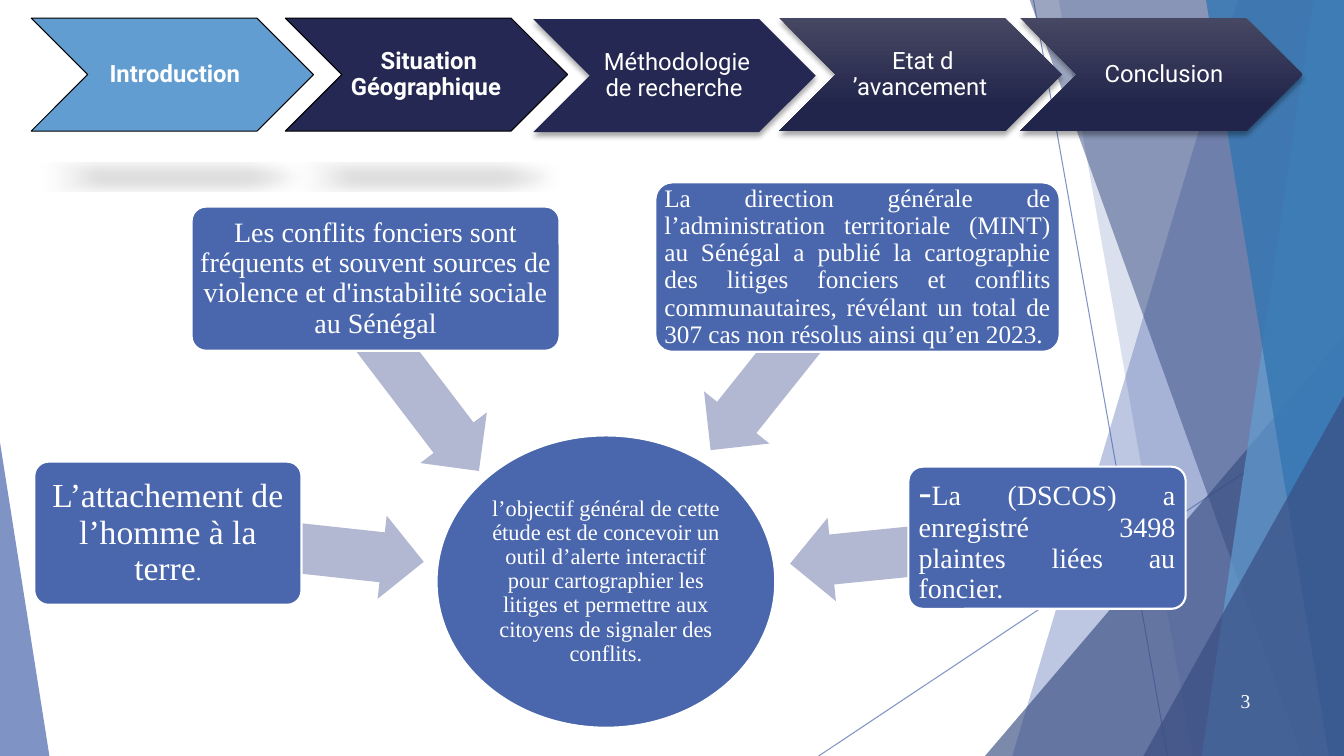
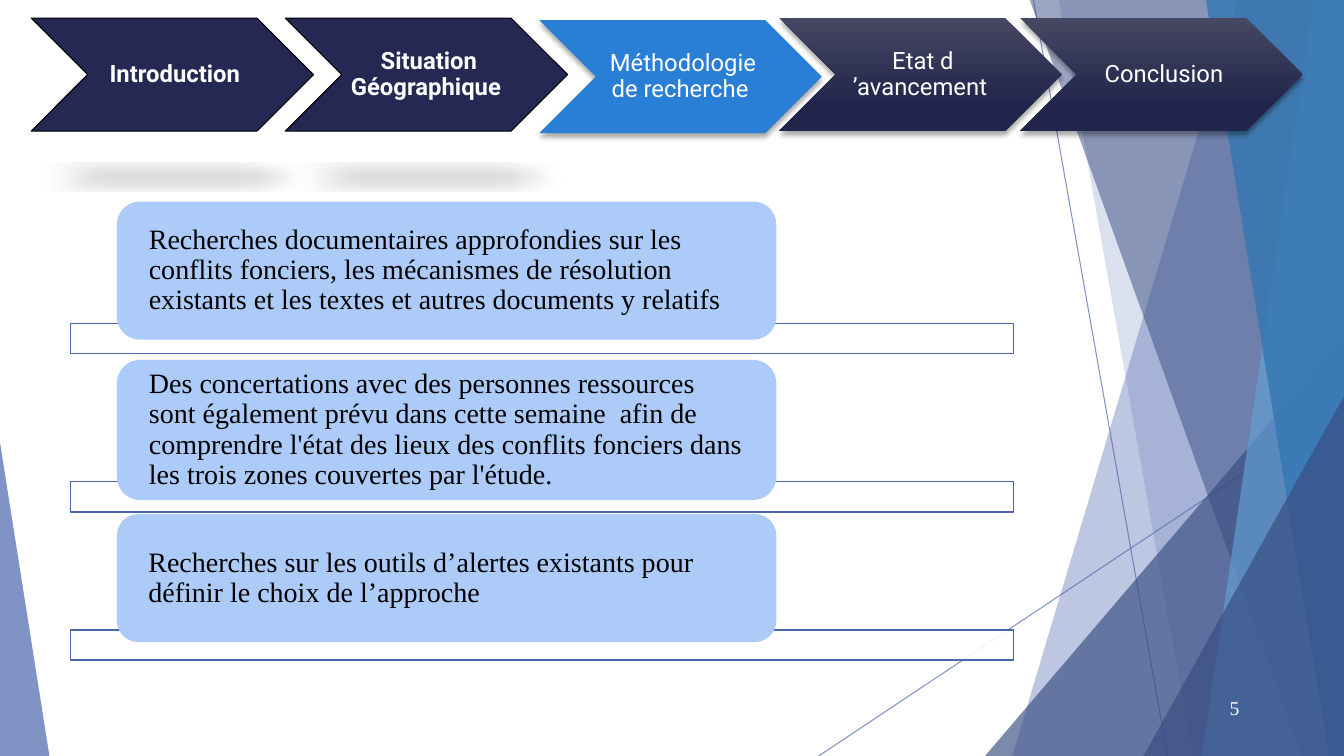
import pptx
import pptx.util
import pptx.dml.color
import pptx.enum.shapes
import pptx.enum.text
import pptx.oxml
import pptx.oxml.ns
import lxml.etree

PX = 9144
WIDTH, HEIGHT = 1333, 750
BLUE, DARK_BLUE, SKY, NAVY = "4A66AC", "384C81", "629DD1", "242852"
WHITE, BLACK = "FFFFFF", "000000"
ARROW_BLUE, PALE_BLUE, BRIGHT_BLUE, DEEP_SKY = "B2B8D2", "ACCBF9", "297FD5", "3477B2"
GRADIENT = ((0, "464762"), (0.78, "21254B"))
SERIF, SANS = "Times New Roman", "Roboto"
SHAPE = pptx.enum.shapes.MSO_SHAPE
ALIGN = pptx.enum.text.PP_ALIGN

FLOATING_SHADOW = dict(blurRad=152400, dist=317500, sx=90000, sy=-19000, alpha=15)
SOFT_SHADOW = dict(blurRad=50800, dist=38100, alpha=35)

STEPS = {
    "Introduction": (31, 18, True, NAVY),
    "Situation Géographique ": (283, 18, True, NAVY),
    "Méthodologie de recherche ": (529, 19, False, NAVY),
    "Etat d ’avancement ": (773, 18, False, GRADIENT),
    "Conclusion": (1012, 18, False, GRADIENT),
}


def px(value):
    return pptx.util.Emu(value * PX)


def colour(code):
    return pptx.dml.color.RGBColor.from_string(code)


def set_opacity(colour_parent, percent):
    for node in colour_parent.findall(pptx.oxml.ns.qn("a:srgbClr")):
        alpha = lxml.etree.SubElement(node, pptx.oxml.ns.qn("a:alpha"))
        alpha.set("val", str(percent * 1000))


def paint(shape, fill, opacity=100, line=None, line_width=1):
    shape.shadow.inherit = False
    if isinstance(fill, str):
        shape.fill.solid()
        shape.fill.fore_color.rgb = colour(fill)
    else:
        shape.fill.gradient()
        shape.fill.gradient_angle = 270
        for stop, (position, code) in zip(shape.fill.gradient_stops, fill):
            stop.position = position
            stop.color.rgb = colour(code)
    if opacity < 100:
        set_opacity(shape.element.spPr.find(pptx.oxml.ns.qn("a:solidFill")), opacity)
    if line:
        shape.line.color.rgb = colour(line)
        shape.line.width = pptx.util.Pt(line_width)
    else:
        shape.line.fill.background()


def add_preset(slide, preset, box, fill, adjust=(), rotation=0, **style):
    shape = slide.shapes.add_shape(preset, *map(px, box))
    for index, value in enumerate(adjust):
        shape.adjustments[index] = value
    shape.rotation = rotation
    paint(shape, fill, **style)
    return shape


def add_polygon(slide, points, fill, opacity):
    builder = slide.shapes.build_freeform(*points[0], scale=PX)
    builder.add_line_segments(points[1:], close=True)
    paint(builder.convert_to_shape(), fill, opacity)


def add_line(slide, start, end):
    straight = pptx.enum.shapes.MSO_CONNECTOR.STRAIGHT
    connector = slide.shapes.add_connector(straight, *map(px, start + end))
    connector.line.color.rgb = colour(BLUE)
    connector.line.width = pptx.util.Pt(0.75)
    properties = connector.element.spPr
    set_opacity(properties.find(".//" + pptx.oxml.ns.qn("a:solidFill")), 70)
    lxml.etree.SubElement(properties, pptx.oxml.ns.qn("a:effectLst"))


def add_shadow(shape, alpha, **settings):
    effects = shape.element.spPr.find(pptx.oxml.ns.qn("a:effectLst"))
    shadow = lxml.etree.SubElement(effects, pptx.oxml.ns.qn("a:outerShdw"))
    for name, value in settings.items():
        shadow.set(name, str(value))
    shadow.set("dir", "5400000")
    shadow.set("rotWithShape", "0")
    lxml.etree.SubElement(shadow, pptx.oxml.ns.qn("a:srgbClr")).set("val", BLACK)
    set_opacity(shadow, alpha)


def write(shape, runs, margins, align=ALIGN.CENTER, font=SERIF, code=WHITE, bold=False, spacing=0.9):
    frame = shape.text_frame
    frame.word_wrap = True
    frame.vertical_anchor = pptx.enum.text.MSO_ANCHOR.MIDDLE
    frame.margin_left, frame.margin_top, frame.margin_right, frame.margin_bottom = map(px, margins)
    paragraph = frame.paragraphs[0]
    paragraph.alignment = align
    paragraph.line_spacing = spacing
    for text, size in runs:
        run = paragraph.add_run()
        run.text = text
        run.font.name = font
        run.font.size = pptx.util.Pt(size)
        run.font.bold = bold
        run.font.color.rgb = colour(code)


def add_backdrop(slide):
    add_line(slide, (1025, 0), (1158, HEIGHT))
    add_line(slide, (WIDTH, 403), (812, HEIGHT))

    def add_band(top_left, bottom_left, bottom_right, fill, opacity):
        points = [(top_left, -1), (WIDTH, -1), (WIDTH, HEIGHT)]
        if bottom_right < WIDTH:
            points.append((bottom_right, HEIGHT))
        else:
            points.append((bottom_left, HEIGHT))
        add_polygon(slide, points, fill, opacity)

    def add_corner(left, top, width, apex, fill, opacity):
        box = (left, top, width, HEIGHT - top)
        add_preset(slide, SHAPE.ISOSCELES_TRIANGLE, box, fill, (apex,), opacity=opacity)

    add_band(1228, 1004, WIDTH, BLUE, 36)
    add_band(1050, 1183, WIDTH, BLUE, 20)
    add_corner(977, 333, 356, 1, DARK_BLUE, 66)
    add_band(1021, 1291, WIDTH, DARK_BLUE, 50)
    add_band(1303, 1192, WIDTH, SKY, 70)
    add_band(1196, 1318, WIDTH, DEEP_SKY, 80)
    add_corner(1134, 393, 199, 1, DARK_BLUE, 66)
    add_corner(0, 439, 49, 0, BLUE, 70)


def move_to_layout(slide, layout):
    for placeholder in list(layout.placeholders):
        layout.shapes.element.remove(placeholder.element)
    for shape in list(slide.shapes):
        layout.shapes.element.append(shape.element)


def add_navigation(slide, active, active_fill, shift=(0, 0)):
    for label, (left, top, bold, fill) in STEPS.items():
        if label == active:
            left, top, fill = left + shift[0], top + shift[1], active_fill
        outline = BLACK if bold else None
        chevron = add_preset(slide, SHAPE.CHEVRON, (left, top, 280, 112), fill,
                             line=outline, line_width=0.75)
        add_shadow(chevron, **(FLOATING_SHADOW if bold else SOFT_SHADOW))
        write(chevron, [(label, 17)], (7, 2, 2, 2), font=SANS, bold=bold)


def add_page_number(slide, number, left, top):
    box = slide.shapes.add_textbox(*map(px, (left, top, 75, 40)))
    write(box, [(number, 14)], (10, 5, 10, 5), align=ALIGN.RIGHT, spacing=1)


def add_arrow(slide, left, top, width, rotation):
    add_preset(slide, SHAPE.LEFT_ARROW, (left, top, width, 83), ARROW_BLUE, (0.6, 0.5), rotation)


def add_card(slide, box, runs, margin, align=ALIGN.CENTER):
    card = add_preset(slide, SHAPE.ROUNDED_RECTANGLE, box, BLUE, (0.1,), line=WHITE, line_width=1.5)
    write(card, runs, (margin,) * 4, align)


def add_method(slide, top, height, bar_top, text):
    add_preset(slide, SHAPE.RECTANGLE, (70, bar_top, 935, 30), WHITE, opacity=90, line=BLUE)
    card = add_preset(slide, SHAPE.ROUNDED_RECTANGLE, (116, top, 654, height), PALE_BLUE)
    write(card, [(text, 20)], (25, 0, 25, 0), ALIGN.LEFT, code=BLACK)


def fill_introduction(slide):
    add_navigation(slide, "Introduction", SKY)
    goal = add_preset(slide, SHAPE.OVAL, (433, 432, 336, 290), BLUE, line=WHITE, line_width=1.5)
    write(goal, [("l’objectif général de cette étude est de concevoir un outil d’alerte interactif "
                  "pour cartographier les litiges et permettre aux citoyens de signaler des conflits.", 16)],
          (1, 1, 1, 1))
    add_arrow(slide, 166, 502, 255, 186.2)
    add_card(slide, (34, 458, 265, 142),
             [("L’attachement de l’homme à la terre", 24), (".", 16)], 5)
    add_arrow(slide, 304, 341, 213, 232.7)
    add_card(slide, (190, 205, 365, 143),
             [("Les conflits fonciers sont fréquents et souvent sources de violence "
               "et d'instabilité sociale au Sénégal", 20)], 4)
    add_arrow(slide, 661, 314, 233, 308.6)
    add_card(slide, (650, 181, 401, 168),
             [("La direction générale de l’administration territoriale (MINT) au Sénégal a publié "
               "la cartographie des litiges fonciers et conflits communautaires, révélant un total "
               "de 307 cas non résolus ainsi qu’en 2023.", 18)], 4, ALIGN.JUSTIFY)
    add_arrow(slide, 783, 505, 256, 354.3)
    add_card(slide, (901, 463, 275, 141),
             [("-", 28), ("La (DSCOS) a enregistré 3498 plaintes liées au foncier. ", 20)],
             6, ALIGN.JUSTIFY)
    add_page_number(slide, "3", 1175, 675)


def fill_methodology(slide):
    add_method(slide, 200, 137, 321,
               "Recherches documentaires approfondies sur les conflits fonciers, les mécanismes "
               "de résolution existants et les textes et autres documents y relatifs")
    add_method(slide, 357, 139, 478,
               "Des concertations avec des personnes ressources sont également prévu dans cette "
               "semaine  afin de comprendre l'état des lieux des conflits fonciers dans les trois "
               "zones couvertes par l'étude.")
    add_method(slide, 510, 127, 625,
               "Recherches sur les outils d’alertes existants pour définir le choix de l’approche")
    add_navigation(slide, "Méthodologie de recherche ", BRIGHT_BLUE, (6, 1))
    add_page_number(slide, "5", 1164, 682)


def main():
    presentation = pptx.Presentation()
    presentation.slide_width, presentation.slide_height = px(WIDTH), px(HEIGHT)
    layout = presentation.slide_layouts[6]
    introduction = presentation.slides.add_slide(layout)
    add_backdrop(introduction)
    move_to_layout(introduction, layout)
    fill_introduction(introduction)
    fill_methodology(presentation.slides.add_slide(layout))
    presentation.save("out.pptx")


if __name__ == "__main__":
    main()
